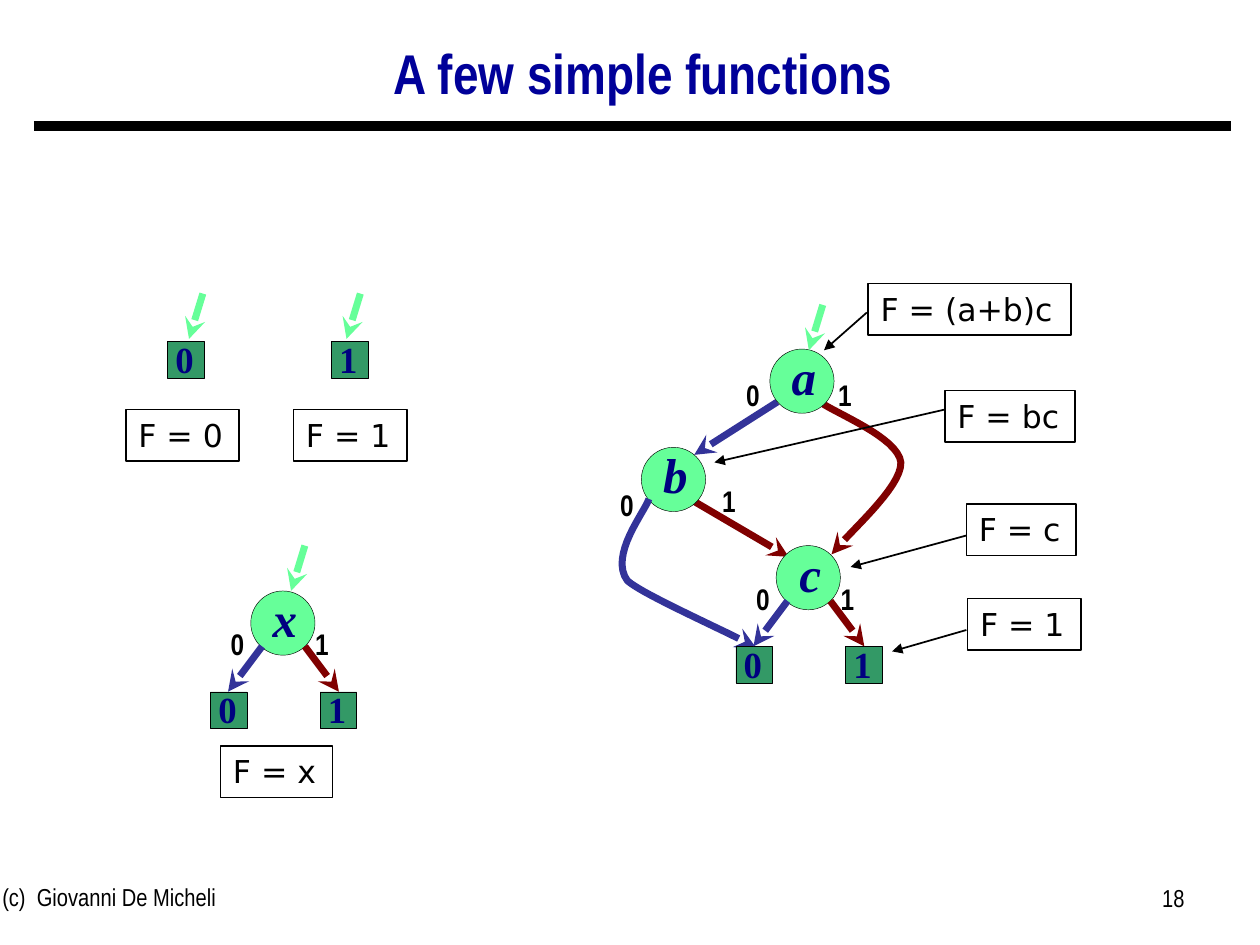
import pptx
import pptx.util
import pptx.dml.color
import pptx.enum.shapes
import pptx.enum.text
import pptx.oxml
import pptx.oxml.ns

Inches = pptx.util.Inches
Pt = pptx.util.Pt
RGB = pptx.dml.color.RGBColor
Align = pptx.enum.text.PP_ALIGN
Anchor = pptx.enum.text.MSO_ANCHOR
Kind = pptx.enum.shapes.MSO_SHAPE

BLACK = RGB(0x00, 0x00, 0x00)
TITLE = RGB(0x00, 0x00, 0x99)
NAVY = RGB(0x00, 0x00, 0x80)
MINT = RGB(0x66, 0xFF, 0x99)
GREEN = RGB(0x33, 0x99, 0x66)
BLUE = RGB(0x33, 0x33, 0x99)
RED = RGB(0x80, 0x00, 0x00)

NODE = 0.51
LEAF = 0.29


def write(shape, text, font="Arial Narrow", size=14, color=BLACK, bold=False,
          italic=False, align=Align.LEFT, anchor=Anchor.TOP,
          inset=(0.1, 0.05, 0.1, 0.05), wrap=True, space=None):
    """Put one formatted paragraph into a shape."""
    frame = shape.text_frame
    frame.auto_size = pptx.enum.text.MSO_AUTO_SIZE.NONE
    frame.word_wrap = wrap
    frame.vertical_anchor = anchor
    (frame.margin_left, frame.margin_top,
     frame.margin_right, frame.margin_bottom) = map(Inches, inset)
    para = frame.paragraphs[0]
    para.alignment = align
    para.line_spacing = space
    run = para.add_run()
    run.text = text
    run.font.name = font
    run.font.size = Pt(size)
    run.font.color.rgb = color
    run.font.bold = bold
    run.font.italic = italic


def label(slide, x, y, w, h, text, **form):
    box = slide.shapes.add_textbox(Inches(x), Inches(y), Inches(w), Inches(h))
    write(box, text, **form)


def shape(slide, kind, x, y, w, h, fill=None, width=0.25):
    item = slide.shapes.add_shape(
        kind, Inches(x), Inches(y), Inches(w), Inches(h))
    item.shadow.inherit = False
    if fill is None:
        item.fill.background()
    else:
        item.fill.solid()
        item.fill.fore_color.rgb = fill
    item.line.color.rgb = BLACK
    item.line.width = Pt(width)
    return item


def stroke(item, color, width, head):
    """Set the line of a connector or curve, with an arrowhead at its end."""
    item.line.color.rgb = color
    item.line.width = Pt(width)
    if head:
        tail = pptx.oxml.parse_xml(
            f'<a:tailEnd {pptx.oxml.ns.nsdecls("a")} type="{head}"/>')
        item._element.spPr.find(pptx.oxml.ns.qn("a:ln")).append(tail)


def line(slide, start, end, color=BLACK, width=4, head="stealth"):
    item = slide.shapes.add_connector(
        pptx.enum.shapes.MSO_CONNECTOR.STRAIGHT,
        *map(Inches, start), *map(Inches, end))
    stroke(item, color, width, head)
    item._element.spPr.append(pptx.oxml.parse_xml(
        f'<a:effectLst {pptx.oxml.ns.nsdecls("a")}/>'))


def curve(slide, start, parts, color, steps=16):
    """Draw joined cubic curves; each part has two controls and an end."""
    points = [start]
    for one, two, end in parts:
        first = points[-1]
        for step in range(1, steps + 1):
            t = step / steps
            s = 1 - t
            points.append(tuple(
                s**3 * p + 3 * s * s * t * q + 3 * s * t * t * r + t**3 * e
                for p, q, r, e in zip(first, one, two, end)))
    # The builder rounds to whole units, so it is given lengths, not inches
    spots = [(Inches(x), Inches(y)) for x, y in points]
    pen = slide.shapes.build_freeform(*spots[0])
    pen.add_line_segments(spots[1:], close=False)
    item = pen.convert_to_shape()
    item.shadow.inherit = False
    item.fill.background()
    stroke(item, color, 4, "stealth")


def node(slide, x, y, text):
    oval = shape(slide, Kind.OVAL, x, y, NODE, NODE, MINT)
    write(oval, text, font="Times New Roman", size=28, color=NAVY, bold=True,
          italic=True, align=Align.CENTER, anchor=Anchor.MIDDLE,
          inset=(0.03, 0, 0, 0.08), wrap=False)


def leaf(slide, x, y, text):
    box = shape(slide, Kind.RECTANGLE, x, y, LEAF, LEAF, GREEN)
    write(box, text, font="Times New Roman", size=21, color=NAVY, bold=True,
          align=Align.CENTER, anchor=Anchor.MIDDLE,
          inset=(0, 0, 0.02, 0.02), wrap=False)


def digit(slide, x, y, text):
    label(slide, x, y, 0.11, 0.28, text, size=17, bold=True,
          align=Align.CENTER, inset=(0, 0, 0, 0), wrap=False)


def entry(slide, x, y):
    line(slide, (x + 0.11, y - 0.36), (x, y), MINT)


def formula(slide, x, y, w, text):
    box = shape(slide, Kind.RECTANGLE, x, y, w, 0.41, width=1)
    write(box, text, font="DejaVu Sans", size=18, inset=(0.1, 0.05, 0, 0.05))


def branch(slide, x, y, text):
    """Draw a node whose two edges end in the leaves 0 and 1."""
    node(slide, x, y, text)
    leaf(slide, x - 0.32, y + 0.8, "0")
    leaf(slide, x + 0.55, y + 0.8, "1")
    line(slide, (x + 0.09, y + 0.44), (x - 0.18, y + 0.8), BLUE)
    line(slide, (x + 0.43, y + 0.44), (x + 0.7, y + 0.8), RED)
    digit(slide, x - 0.16, y + 0.28, "0")
    digit(slide, x + 0.51, y + 0.28, "1")


def main():
    deck = pptx.Presentation()
    deck.slide_width, deck.slide_height = Inches(10), Inches(7.5)
    slide = deck.slides.add_slide(deck.slide_layouts[5])

    # Title, rule and footer
    title = slide.shapes.title
    title.left, title.top = Inches(0.63), Inches(-0.06)
    title.width, title.height = Inches(8.95), Inches(1.33)
    write(title, "A few simple functions", size=32, color=TITLE, bold=True,
          align=Align.CENTER, anchor=Anchor.MIDDLE, space=0.9)
    line(slide, (0.27, 1), (9.77, 1), width=6, head=None)
    label(slide, -0.08, 6.95, 3.17, 0.52, "(c)  Giovanni De Micheli")
    label(slide, 7.17, 6.96, 2.33, 0.52, "18", align=Align.RIGHT)

    # Constant functions
    for x, tip, text in ((1.33, 1.5, "0"), (2.63, 2.75, "1")):
        leaf(slide, x, 2.71, text)
        entry(slide, tip, 2.69)

    # Single variable
    branch(slide, 1.99, 4.69, "x")
    entry(slide, 2.31, 4.69)

    # Shared diagram of (a+b)c
    line(slide, (6.17, 3.19), (5.51, 3.61), BLUE)
    line(slide, (5.51, 3.98), (6.26, 4.42), RED)
    curve(slide, (6.51, 3.19),
          [((6.61, 3.27), (7.13, 3.47), (7.15, 3.67)),
           ((7.16, 3.87), (6.72, 4.24), (6.6, 4.4))], RED)
    node(slide, 6.11, 2.77, "a")
    node(slide, 5.09, 3.55, "b")
    curve(slide, (5.15, 3.96),
          [((5.12, 4.06), (4.83, 4.41), (4.98, 4.61)),
           ((5.12, 4.73), (5.79, 5.02), (6, 5.14))], BLUE)
    branch(slide, 6.16, 4.33, "c")
    entry(slide, 6.42, 2.78)
    for x, y, text in ((5.92, 2.99, "0"), (6.65, 2.99, "1"),
                       (4.92, 3.86, "0"), (5.73, 3.83, "1")):
        digit(slide, x, y, text)

    # Formulas
    for x, y, w, text in (
            (1, 3.25, 0.9, "F = 0"), (2.33, 3.25, 0.9, "F = 1"),
            (1.75, 5.92, 0.89, "F = x"), (6.89, 2.25, 1.61, "F = (a+b)c"),
            (7.5, 3.1, 1.03, "F = bc"), (7.67, 4, 0.87, "F = c"),
            (7.68, 4.75, 0.9, "F = 1")):
        formula(slide, x, y, w, text)

    # Pointers from formulas to nodes
    for start, end in (((6.88, 2.48), (6.54, 2.78)),
                       ((7.5, 3.25), (5.67, 3.67)),
                       ((7.67, 4.25), (6.75, 4.5)),
                       ((7.67, 5), (7.08, 5.17))):
        line(slide, start, end, width=1, head="triangle")

    deck.save("out.pptx")


if __name__ == "__main__":
    main()
